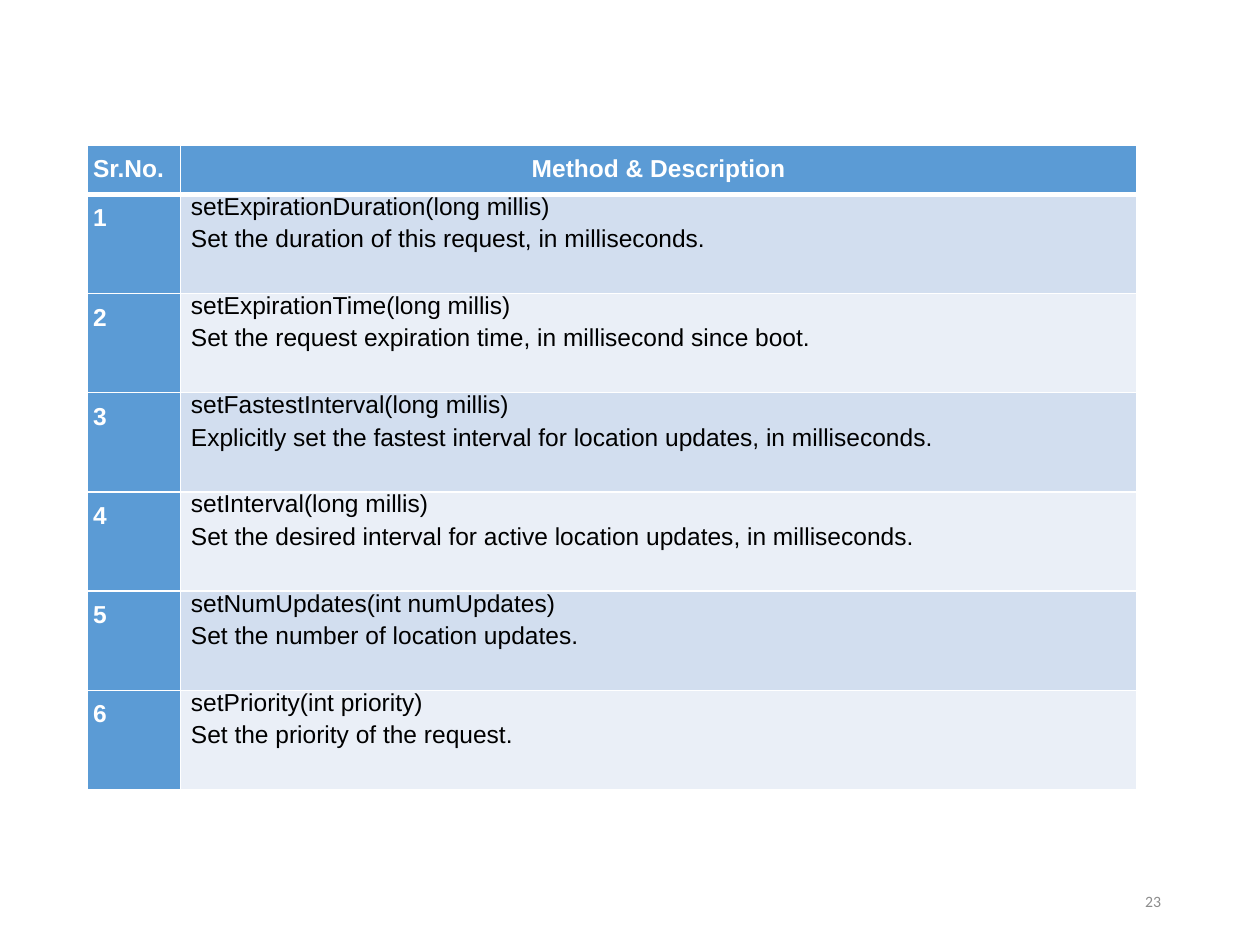
from lxml.etree import SubElement
from pptx import Presentation
from pptx.dml.color import RGBColor
from pptx.enum.text import MSO_ANCHOR, PP_ALIGN
from pptx.oxml.ns import qn
from pptx.util import Pt

HEADER = ("Sr.No.", "Method & Description")
METHODS = [
    ("setExpirationDuration(long millis)", "Set the duration of this request, in milliseconds."),
    ("setExpirationTime(long millis)", "Set the request expiration time, in millisecond since boot."),
    ("setFastestInterval(long millis)",
     "Explicitly set the fastest interval for location updates, in milliseconds."),
    ("setInterval(long millis)",
     "Set the desired interval for active location updates, in milliseconds."),
    ("setNumUpdates(int numUpdates)", "Set the number of location updates."),
    ("setPriority(int priority)", "Set the priority of the request."),
]
PAGE_NUMBER = "23"

BLUE, WHITE, BLACK, GREY = "5B9BD5", "FFFFFF", "000000", "8C8C8C"
BANDS = ("D2DEEF", "EAEFF7")
LEFT, TOP = 49.6, 83
COL_WIDTHS = (53.5, 546.5)
HEADER_HEIGHT, ROW_HEIGHT = 28, 56.7


def rgb(value):
    return RGBColor.from_string(value)


def style_font(font, name, size, color, bold=False):
    font.name, font.size, font.bold = name, Pt(size), bold
    font.color.rgb = rgb(color)


def set_borders(cell, widths):
    tcPr = cell._tc.get_or_add_tcPr()
    for i, (side, width) in enumerate(widths.items()):
        ln = SubElement(tcPr, qn(f"a:ln{side}"), w=str(Pt(width)))
        fill = SubElement(ln, qn("a:solidFill"))
        SubElement(fill, qn("a:srgbClr"), val=WHITE)
        tcPr.remove(ln)
        tcPr.insert(i, ln)


def fill_cell(cell, text, fill, color, bold, align, line, after, indent=0, top=1, bottom=1):
    cell.margin_left = cell.margin_right = cell.margin_top = cell.margin_bottom = Pt(3.6)
    cell.fill.solid()
    cell.fill.fore_color.rgb = rgb(fill)
    set_borders(cell, {"L": 1, "R": 1, "T": top, "B": bottom})
    cell.text_frame.text = text
    for p in cell.text_frame.paragraphs:
        p.alignment, p.line_spacing, p.space_after = align, line, Pt(after)
        if indent:
            p._p.get_or_add_pPr().set("marL", str(Pt(indent)))
        for r in p.runs:
            style_font(r.font, "Arial", 14, color, bold)


def fill_label(cell, text, align=PP_ALIGN.LEFT, **borders):
    fill_cell(cell, text, BLUE, WHITE, True, align, 1.15, 9.6, **borders)


prs = Presentation()
prs.slide_width, prs.slide_height = Pt(720), Pt(540)
s = prs.slides.add_slide(prs.slide_layouts[6])

heights = [HEADER_HEIGHT] + [ROW_HEIGHT] * len(METHODS)
table = s.shapes.add_table(len(heights), len(COL_WIDTHS), Pt(LEFT), Pt(TOP),
                           Pt(sum(COL_WIDTHS)), Pt(sum(heights))).table
for column, width in zip(table.columns, COL_WIDTHS):
    column.width = Pt(width)
for row, height in zip(table.rows, heights):
    row.height = Pt(height)

for col, (text, align) in enumerate(zip(HEADER, (PP_ALIGN.LEFT, PP_ALIGN.CENTER))):
    fill_label(table.cell(0, col), text, align, bottom=3)
for n, method in enumerate(METHODS, 1):
    top = 3 if n == 1 else 1
    fill_label(table.cell(n, 0), str(n), top=top)
    fill_cell(table.cell(n, 1), "\n".join(method), BANDS[(n - 1) % 2], BLACK, False,
              PP_ALIGN.JUSTIFY, Pt(11.4), 7.2, indent=2.4, top=top)

tf = s.shapes.add_textbox(Pt(508.5), Pt(500.5), Pt(162), Pt(28.75)).text_frame
tf.word_wrap = True
tf.vertical_anchor = MSO_ANCHOR.MIDDLE
p = tf.paragraphs[0]
p.text = PAGE_NUMBER
p.alignment = PP_ALIGN.RIGHT
style_font(p.runs[0].font, "Calibri", 9, GREY)

prs.save("out.pptx")
